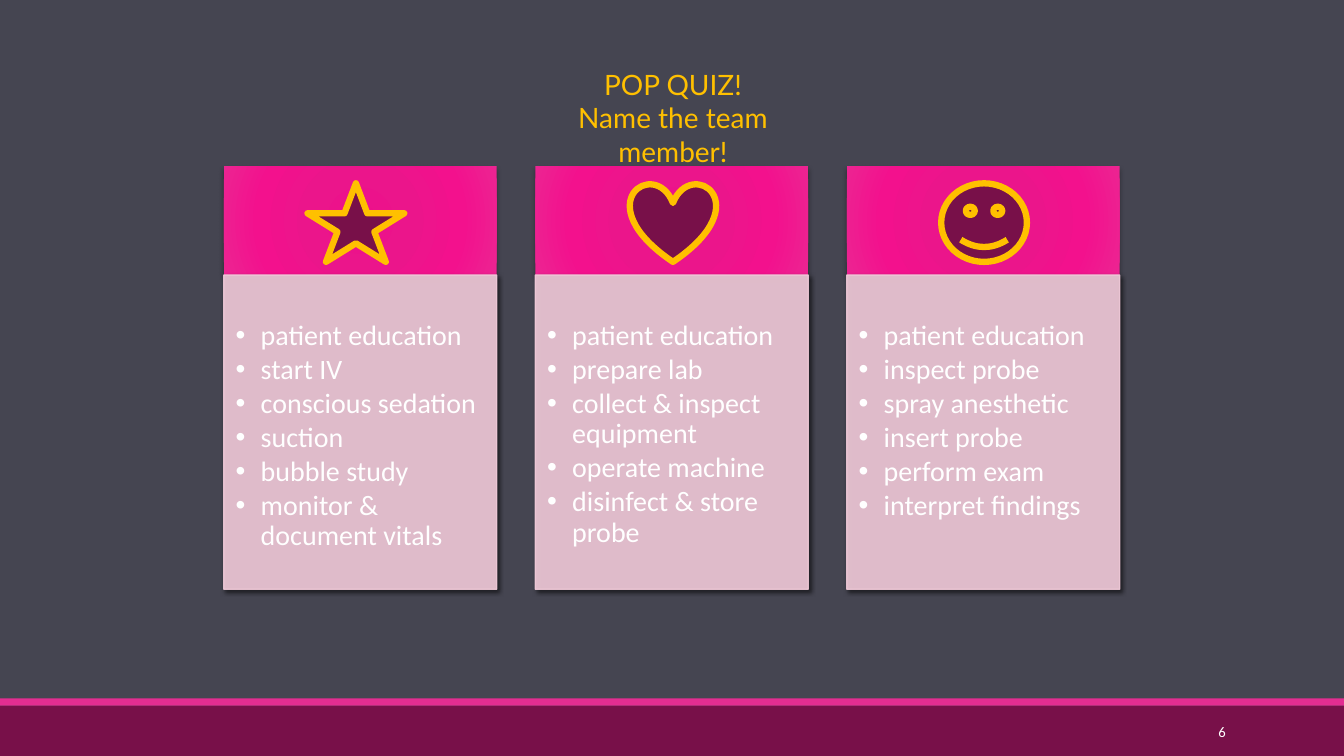
from dataclasses import dataclass
from lxml import etree
from pptx import Presentation
from pptx.dml.color import RGBColor as RGB
from pptx.enum.shapes import MSO_SHAPE as Kind
from pptx.enum.text import MSO_ANCHOR as Anchor, MSO_AUTO_SIZE as Auto, PP_ALIGN as Align
from pptx.oxml import parse_xml
from pptx.oxml.ns import nsdecls, qn
from pptx.util import Cm, Pt


@dataclass(frozen=True)
class Theme:
    back: str = "454551"
    plum: str = "781049"
    pink: str = "E32D91"
    blush: str = "F4CDDC"
    gold: str = "FFC000"
    white: str = "FFFFFF"
    glow: tuple = ((0, "ED108A"), (34, "EB158B"), (70, "F3118D"), (100, "EC2492"))
    head: str = "Lato"
    body: str = "Calibri"
    size: float = 20
    small: float = 10.5


theme = Theme()


def draw(kind, x, y, w, h, fill, line=None, width=1):
    shape = slide.shapes.add_shape(kind, Cm(x), Cm(y), Cm(w), Cm(h))
    shape.shadow.inherit = False
    shape.fill.solid()
    shape.fill.fore_color.rgb = RGB.from_string(fill)
    if line:
        shape.line.color.rgb = RGB.from_string(line)
        shape.line.width = Pt(width)
    else:
        shape.line.fill.background()
    return shape


def shade(shape, alpha, blur, dist, angle):
    effects = shape.element.spPr.find(qn("a:effectLst"))
    effects.append(parse_xml(
        f'<a:outerShdw {nsdecls("a")} blurRad="{Pt(blur)}" dist="{Pt(dist)}" '
        f'dir="{angle * 60000}" algn="tl" rotWithShape="0"><a:srgbClr val="000000">'
        f'<a:alpha val="{alpha * 1000}"/></a:srgbClr></a:outerShdw>'))


# Slide and background
deck = Presentation()
deck.slide_width, deck.slide_height = Cm(33.87), Cm(19.05)
slide = deck.slides.add_slide(deck.slide_layouts[4])
slide.background.fill.solid()
slide.background.fill.fore_color.rgb = RGB.from_string(theme.back)
title, *lists = slide.placeholders
spare = lists.pop()
spare.element.getparent().remove(spare.element)

# Footer band and page number
draw(Kind.RECTANGLE, 0, 17.78, 33.87, 1.27, theme.plum)
draw(Kind.RECTANGLE, 0, 17.6, 33.87, 0.18, theme.pink)
page = slide.shapes.add_textbox(Cm(27.51), Cm(17.93), Cm(3.63), Cm(1.02))
frame = page.text_frame
frame.word_wrap = True
frame.vertical_anchor = Anchor.MIDDLE
frame.text = "6"
frame.paragraphs[0].alignment = Align.RIGHT
font = frame.paragraphs[0].runs[0].font
font.name, font.size = theme.body, Pt(theme.small)
font.color.rgb = RGB.from_string(theme.white)

# Cards: glowing header, pale panel, task list and icon
left, top, wide, pitch = 5.64, 4.19, 6.88, 7.85
cap, tall = 2.74, 7.92
cards = [
    (Kind.STAR_5_POINT, 7.75, 2.44,
     ["patient education", "start IV", "conscious sedation", "suction",
      "bubble study", "monitor & document vitals"]),
    (Kind.HEART, 15.88, 2.16,
     ["patient education", "prepare lab", "collect & inspect equipment",
      "operate machine", "disinfect & store probe"]),
    (Kind.SMILEY_FACE, 23.72, 2.16,
     ["patient education", "inspect probe", "spray anesthetic",
      "insert probe", "perform exam", "interpret findings"]),
]
stops = "".join(f'<a:gs pos="{pos * 1000}"><a:srgbClr val="{tint}"/></a:gs>'
                for pos, tint in theme.glow)
for i, (kind, x, w, tasks) in enumerate(cards):
    side = left + i * pitch
    header = draw(Kind.RECTANGLE, side, top, wide, cap, theme.pink)
    flat = header.element.spPr.find(qn("a:solidFill"))
    header.element.spPr.replace(flat, parse_xml(
        f'<a:gradFill {nsdecls("a")} rotWithShape="1"><a:gsLst>{stops}</a:gsLst>'
        '<a:path path="circle"><a:fillToRect l="100000" t="100000" r="100000" '
        'b="100000"/></a:path></a:gradFill>'))
    shade(header, 32, 3.5, 2.2, 90)

    panel = draw(Kind.RECTANGLE, side, top + cap, wide, tall, theme.blush, theme.blush)
    for tint in panel.element.spPr.iter(qn("a:srgbClr")):
        etree.SubElement(tint, qn("a:alpha"), val="90000")
    shade(panel, 60, 3, 2, 45)

    body = lists[i]
    body.left, body.top, body.width, body.height = Cm(side), Cm(top + cap), Cm(wide), Cm(tall)
    slide.shapes.element.append(body.element)
    frame = body.text_frame
    frame.text = "\n".join(tasks)
    frame.word_wrap, frame.auto_size = True, Auto.NONE
    frame.vertical_anchor = Anchor.TOP
    frame.margin_left, frame.margin_top = Cm(0.3), Cm(1.17)
    frame.margin_right, frame.margin_bottom = Cm(0.41), Cm(0.43)
    for para in frame.paragraphs:
        para.line_spacing = 0.9
        para.space_before, para.space_after = Pt(0), Pt(2.7)
        props = para.runs[0].font
        props.name, props.size, props.bold = theme.body, Pt(theme.size), False
        props.color.rgb = RGB.from_string(theme.white)
        style = para._p.get_or_add_pPr()
        style.set("marL", str(Cm(0.63)))
        style.set("indent", str(Cm(-0.63)))
        etree.SubElement(style, qn("a:buFont"), typeface="Arial")
        etree.SubElement(style, qn("a:buChar"), char="•")

    draw(kind, x, 4.62, w, 1.98, theme.plum, theme.gold, 4.5)

# Title
title.left, title.top, title.width, title.height = Cm(14), Cm(1.57), Cm(5.92), Cm(2.6)
frame = title.text_frame
frame.text = "POP QUIZ!\nName the team member!"
frame.word_wrap, frame.auto_size = True, Auto.NONE
frame.vertical_anchor = Anchor.TOP
for para in frame.paragraphs:
    para.alignment = Align.CENTER
    font = para.runs[0].font
    font.name, font.size = theme.head, Pt(theme.size)
    font.color.rgb = RGB.from_string(theme.gold)

deck.save("out.pptx")
